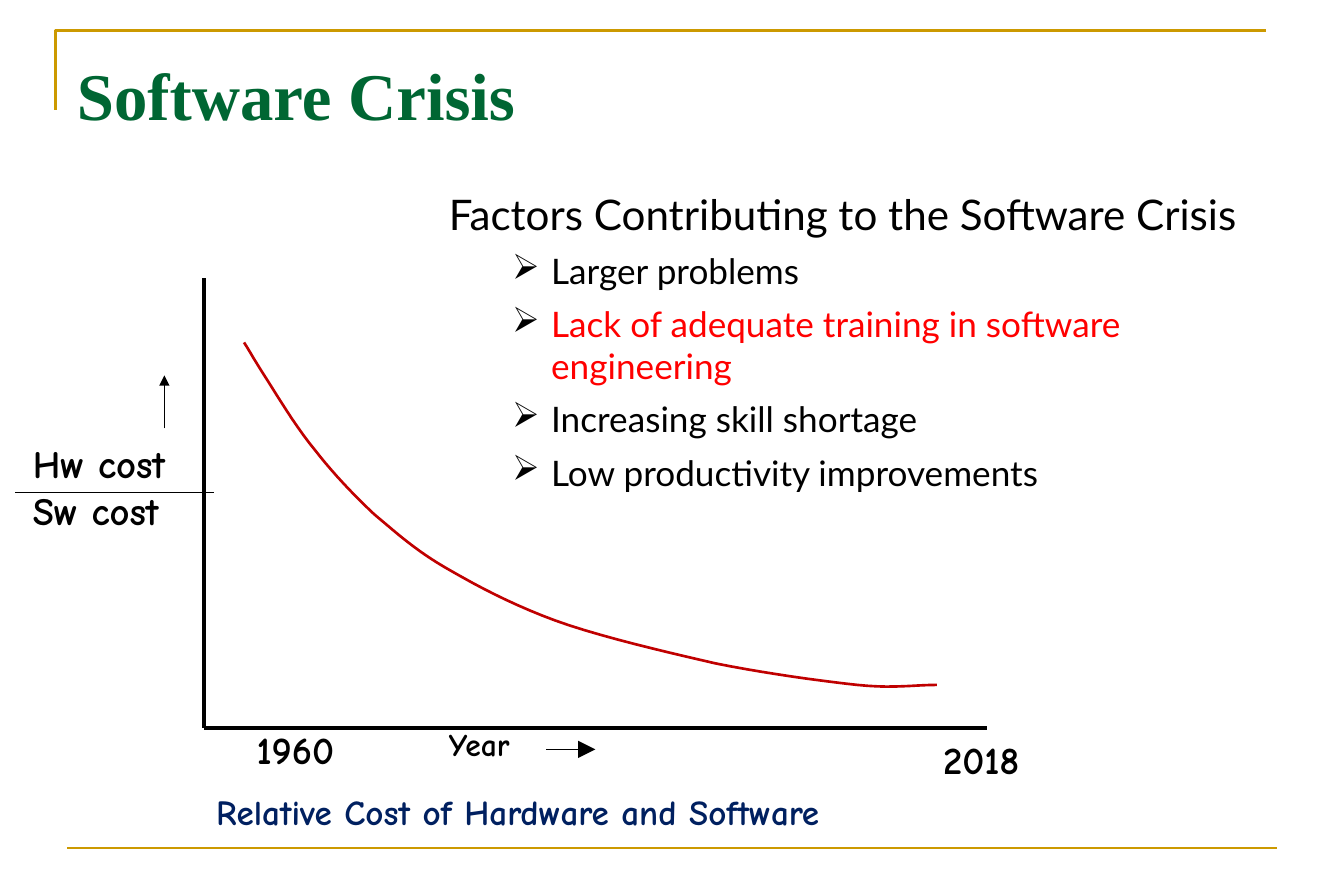
from dataclasses import dataclass

from lxml import etree
from pptx import Presentation
from pptx.dml.color import RGBColor
from pptx.enum.shapes import MSO_CONNECTOR
from pptx.enum.text import MSO_ANCHOR
from pptx.oxml.ns import qn
from pptx.util import Inches, Pt

STRAIGHT = MSO_CONNECTOR.STRAIGHT
TOP, MIDDLE = MSO_ANCHOR.TOP, MSO_ANCHOR.MIDDLE


@dataclass(frozen=True)
class Theme:
    gold: str = "CC9900"
    green: str = "006633"
    black: str = "000000"
    red: str = "FF0000"
    curve: str = "C00000"
    navy: str = "002060"
    title_font: str = "Times New Roman"
    body_font: str = "Lato"
    label_font: str = "Comic Neue"
    title: float = 38
    heading: float = 24
    label: float = 22
    body: float = 20
    small: float = 18
    axis_width: float = 2.25
    rule_width: float = 1.5
    thin_width: float = 0.75


THEME = Theme()

FACTORS = [
    ("Larger problems", THEME.black),
    ("Lack of adequate training in software engineering", THEME.red),
    ("Increasing skill shortage", THEME.black),
    ("Low productivity improvements", THEME.black),
]

# Start of the cost curve, then two control points and an end for each span
CURVE_START = (1.93, 2.71)
CURVE_SPANS = [
    ((1.97, 2.77), (2.0, 2.83), (2.09, 2.97)),
    ((2.18, 3.11), (2.34, 3.38), (2.49, 3.56)),
    ((2.63, 3.74), (2.79, 3.91), (2.96, 4.07)),
    ((3.14, 4.22), (3.28, 4.35), (3.52, 4.49)),
    ((3.76, 4.63), (4.04, 4.78), (4.39, 4.91)),
    ((4.75, 5.04), (5.27, 5.16), (5.66, 5.25)),
    ((6.06, 5.33), (6.5, 5.39), (6.78, 5.42)),
    ((7.06, 5.45), (7.23, 5.42), (7.41, 5.42)),
]
STEPS = 10


def add_text(frame, text, *, size, font, color, bold=False, before=0,
             spacing=None, indent=0, hanging=0, bullet=None):
    """Add one formatted paragraph, reusing the empty first one."""
    paragraph = frame.paragraphs[0]
    if paragraph.runs:
        paragraph = frame.add_paragraph()
    paragraph.space_before = Pt(before)
    if spacing:
        paragraph.line_spacing = spacing
    run = paragraph.add_run()
    run.text = text
    run.font.size = Pt(size)
    run.font.name = font
    run.font.bold = bold
    run.font.color.rgb = RGBColor.from_string(color)
    if bullet:
        properties = paragraph._p.get_or_add_pPr()
        properties.set("marL", str(Inches(indent)))
        properties.set("indent", str(-Inches(hanging)))
        bullet_color = etree.SubElement(properties, qn("a:buClr"))
        etree.SubElement(bullet_color, qn("a:srgbClr"), val=THEME.black)
        etree.SubElement(properties, qn("a:buChar"), char=bullet)


def add_frame(slide, left, top, width, height, inset=0.02, anchor=TOP):
    frame = slide.shapes.add_textbox(
        Inches(left), Inches(top), Inches(width), Inches(height)).text_frame
    frame.word_wrap = True
    frame.vertical_anchor = anchor
    frame.margin_left = frame.margin_right = Inches(inset)
    frame.margin_top = frame.margin_bottom = Inches(0.05)
    return frame


def style_line(line, color, width):
    line.color.rgb = RGBColor.from_string(color)
    line.width = Pt(width)


def add_line(slide, start, end, color, width, head=None):
    """Draw a straight line; head is the arrowhead size at its end."""
    connector = slide.shapes.add_connector(
        STRAIGHT, *(Inches(value) for value in (*start, *end)))
    style_line(connector.line, color, width)
    if head:
        etree.SubElement(connector.line._get_or_add_ln(), qn("a:tailEnd"),
                         type="triangle", w=head, len=head)
    etree.SubElement(connector._element.spPr, qn("a:effectLst"))


def add_outline(slide, points, color, width):
    """Draw an open, unfilled path through points given in inches."""
    corners = [(Inches(x), Inches(y)) for x, y in points]
    builder = slide.shapes.build_freeform(*corners[0])
    builder.add_line_segments(corners[1:], close=False)
    outline = builder.convert_to_shape()
    outline.shadow.inherit = False
    outline.fill.background()
    style_line(outline.line, color, width)


def curve_points():
    points = [CURVE_START]
    for first, second, end in CURVE_SPANS:
        start = points[-1]
        for step in range(1, STEPS + 1):
            t = step / STEPS
            u = 1 - t
            points.append(tuple(
                u**3 * a + 3 * u * u * t * b + 3 * u * t * t * c + t**3 * d
                for a, b, c, d in zip(start, first, second, end)))
    return points


def add_borders(slide, left, top, width, height):
    add_outline(slide, [(left, top + 0.63), (left, top), (left + width, top)],
                THEME.gold, THEME.rule_width)
    bottom = top + height
    add_line(slide, (left + 0.09, bottom), (left + 0.09 + width, bottom),
             THEME.gold, THEME.rule_width)


def add_title(slide, left, top, width, height):
    frame = add_frame(slide, left, top, width, height, inset=0.1, anchor=MIDDLE)
    add_text(frame, "Software Crisis", size=THEME.title, bold=True,
             font=THEME.title_font, color=THEME.green)


def add_cost_graph(slide, left, top, width, height):
    """Place axes in the given box, with the curve and labels around them."""
    bottom, right = top + height, left + width
    origin = (left, bottom)
    for start, end in (((left, top), origin), (origin, (right, bottom))):
        add_line(slide, start, end, THEME.black, THEME.axis_width)
    add_outline(slide, curve_points(), THEME.curve, THEME.rule_width)

    ratio = top + 1.7
    add_line(slide, (left - 1.49, ratio), (left + 0.08, ratio),
             THEME.black, THEME.thin_width)
    add_line(slide, (left - 0.31, ratio - 0.51), (left - 0.31, ratio - 0.93),
             THEME.black, THEME.thin_width, head="med")
    add_line(slide, (left + 2.71, bottom + 0.17), (left + 3.1, bottom + 0.17),
             THEME.black, THEME.thin_width, head="lg")

    labels = [
        (["Hw cost", "Sw cost"], (left - 1.37, ratio - 0.41, 1.64, 1.07),
         THEME.label, THEME.black, 4.4),
        (["Year"], (left + 1.92, bottom - 0.03, 0.74, 0.41),
         THEME.small, THEME.black, 4.4),
        (["1960"], (left + 0.4, bottom - 0.01, 0.86, 0.47),
         THEME.label, THEME.black, 13),
        (["2018"], (right - 0.37, bottom + 0.07, 0.86, 0.47),
         THEME.label, THEME.black, 13),
        (["Relative Cost of Hardware and Software"],
         (left + 0.08, bottom + 0.5, 6.4, 0.47), THEME.body, THEME.navy, 5.2),
    ]
    for lines, box, size, color, before in labels:
        frame = add_frame(slide, *box)
        for line in lines:
            add_text(frame, line, size=size, color=color, before=before,
                     font=THEME.label_font, bold=True, spacing=0.85)


def add_factors(slide, left, top, width, height):
    frame = add_frame(slide, left, top, width, height)
    add_text(frame, "Factors Contributing to the Software Crisis", before=7.5,
             size=THEME.heading, font=THEME.body_font, color=THEME.black)
    for factor, color in FACTORS:
        add_text(frame, factor, size=THEME.body, font=THEME.body_font,
                 color=color, before=6.2, indent=0.81, hanging=0.31, bullet="➢")


def main():
    deck = Presentation()
    deck.slide_width, deck.slide_height = Inches(10.63), Inches(7.09)
    slide = deck.slides.add_slide(deck.slide_layouts[6])
    add_borders(slide, 0.44, 0.24, 9.57, 6.47)
    add_title(slide, 0.51, 0.33, 8.59, 0.82)
    add_cost_graph(slide, 1.61, 2.2, 6.2, 3.56)
    add_factors(slide, 3.53, 1.44, 6.67, 3.41)
    deck.save("out.pptx")


if __name__ == "__main__":
    main()
